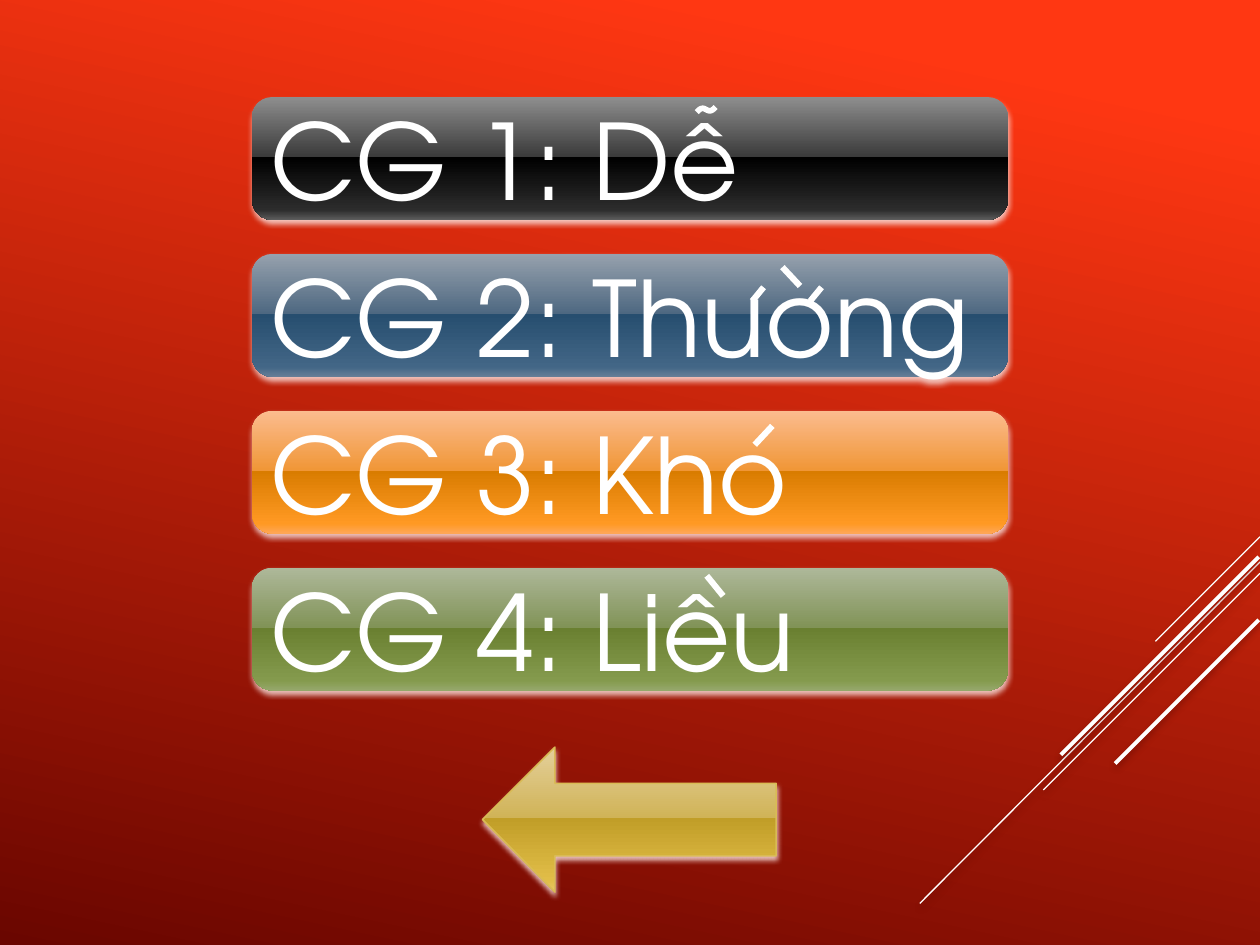
from pptx import Presentation
from pptx.dml.color import RGBColor
from pptx.enum.shapes import MSO_CONNECTOR, MSO_SHAPE
from pptx.enum.text import MSO_ANCHOR, PP_ALIGN
from pptx.oxml import parse_xml
from pptx.oxml.ns import nsdecls
from pptx.util import Inches, Pt

THEME = {
    "font": "TeX Gyre Adventor", "size": 60, "white": "FFFFFF",
    "background": [(10, "FF3712"), (100, "6A0600")],
    "stops": (0, 49, 49, 92, 100),
    "black": ("8E8E8E", "3A3A3A", "000000", "2C2C2C", "5C5C5C"),
    "blue": ("96A1AD", "4E6881", "274E6F", "426686", "667E97"),
    "orange": ("FBBC8F", "F09636", "D97C00", "FF9923", "FFA757"),
    "green": ("AEB89A", "819357", "6A8031", "849A4D", "96A86C"),
    "gold": ("E4D09B", "D0B357", "C19E28", "E1BD48", "E8C867"),
    "gold_line": "D9BB55",
    "glow": ("FBE4E0", 83, 3.1), "line_shadow": ("480200", 38, 4),
}
W, H = 10, 7.5

# Label and colour of each level bar
LEVELS = [("CG 1: Dê", "black"), ("CG 2: Thuong", "blue"),
          ("CG 3: Kho", "orange"), ("CG 4: Liêu", "green")]
BAR_LEFT, BAR_WIDTH = 0.2 * W, 0.6 * W
BAR_TOP, BAR_HEIGHT, BAR_PITCH = 0.77, 0.13 * H, 0.166 * H

# Diagonal lines: start, end, weight
DIAGONALS = [((10, 4.26), (9.17, 5.09), 0.75), ((10, 4.46), (7.3, 7.17), 0.75),
             ((10, 4.55), (8.28, 6.27), 0.75), ((9.99, 4.42), (8.42, 5.99), 2.25),
             ((9.99, 4.92), (8.85, 6.06), 2.25)]

# Accent strokes drawn over the letters
ACCENTS = [[(6.43, 2.39), (6.52, 2.28)], [(6.35, 2.27), (6.21, 2.12)],
           [(5.97, 2.39), (6.06, 2.28)], [(5.99, 3.53), (6.13, 3.38)],
           [(5.74, 4.73), (5.61, 4.57)]]
TILDE = [[(5.53, 0.89), (5.55, 0.87), (5.56, 0.86), (5.58, 0.86)],
         [(5.58, 0.86), (5.59, 0.86), (5.62, 0.88), (5.63, 0.88)],
         [(5.63, 0.88), (5.65, 0.88), (5.66, 0.87), (5.68, 0.85)]]


def rgb(color):
    return RGBColor.from_string(color)


def set_gradient(fill, element, stops, angle):
    """Fill with any number of stops; the angle runs clockwise."""
    fill.gradient()
    fill.gradient_angle = 360 - angle
    gs_list = element.xpath(".//a:gsLst")[0]
    for gs in list(gs_list):
        gs_list.remove(gs)
    for pos, color in stops:
        gs_list.append(parse_xml(
            f'<a:gs {nsdecls("a")} pos="{pos * 1000}"><a:srgbClr val="{color}"/></a:gs>'))


def add_shadow(shape, color, alpha, blur):
    shape._element.spPr.append(parse_xml(
        f'<a:effectLst {nsdecls("a")}><a:outerShdw blurRad="{Pt(blur)}" dist="{Pt(2)}" '
        f'dir="5400000" algn="ctr" rotWithShape="0"><a:srgbClr val="{color}">'
        f'<a:alpha val="{alpha * 1000}"/></a:srgbClr></a:outerShdw></a:effectLst>'))


def set_line(shape, color, weight):
    shape.line.color.rgb = rgb(color)
    shape.line.width = Pt(weight)


def add_glossy(s, kind, left, top, width, height, palette, outline=None):
    sp = s.shapes.add_shape(kind, *map(Inches, (left, top, width, height)))
    set_gradient(sp.fill, sp._element, zip(THEME["stops"], THEME[palette]), 90)
    if outline:
        set_line(sp, outline, 0.9)
    else:
        sp.line.fill.background()
    add_shadow(sp, *THEME["glow"])
    return sp


def add_label(sp, text):
    tf = sp.text_frame
    tf.word_wrap = True
    tf.vertical_anchor = MSO_ANCHOR.MIDDLE
    p = tf.paragraphs[0]
    p.alignment = PP_ALIGN.LEFT
    r = p.add_run()
    r.text = text
    r.font.name, r.font.size = THEME["font"], Pt(THEME["size"])
    r.font.color.rgb = rgb(THEME["white"])


def add_stroke(s, points, weight):
    start, *rest = [(Inches(x), Inches(y)) for x, y in points]
    builder = s.shapes.build_freeform(*start)
    builder.add_line_segments(rest, close=False)
    sp = builder.convert_to_shape()
    sp.fill.background()
    set_line(sp, THEME["white"], weight)
    sp.shadow.inherit = False


def bezier(curve, steps=6):
    """Points along a cubic curve."""
    weights = [((1 - t) ** 3, 3 * t * (1 - t) ** 2, 3 * t * t * (1 - t), t ** 3)
               for t in (i / steps for i in range(steps + 1))]
    return [tuple(sum(w * pt[axis] for w, pt in zip(ws, curve)) for axis in (0, 1))
            for ws in weights]


def main():
    prs = Presentation()
    prs.slide_width, prs.slide_height = Inches(W), Inches(H)
    s = prs.slides.add_slide(prs.slide_layouts[6])
    set_gradient(s.background.fill, s._element, THEME["background"], 102)

    for start, end, weight in DIAGONALS:
        line = s.shapes.add_connector(MSO_CONNECTOR.STRAIGHT, *map(Inches, start + end))
        set_line(line, THEME["white"], weight)
        add_shadow(line, *THEME["line_shadow"])

    for row, (text, palette) in enumerate(LEVELS):
        bar = add_glossy(s, MSO_SHAPE.ROUNDED_RECTANGLE, BAR_LEFT,
                         BAR_TOP + row * BAR_PITCH, BAR_WIDTH, BAR_HEIGHT, palette)
        add_label(bar, text)

    for points in ACCENTS:
        add_stroke(s, points, 3.5)
    add_stroke(s, [pt for curve in TILDE for pt in bezier(curve)], 3.25)

    add_glossy(s, MSO_SHAPE.LEFT_ARROW, 3.83, 5.93, 2.33, 1.15, "gold", THEME["gold_line"])
    prs.save("out.pptx")


if __name__ == "__main__":
    main()
